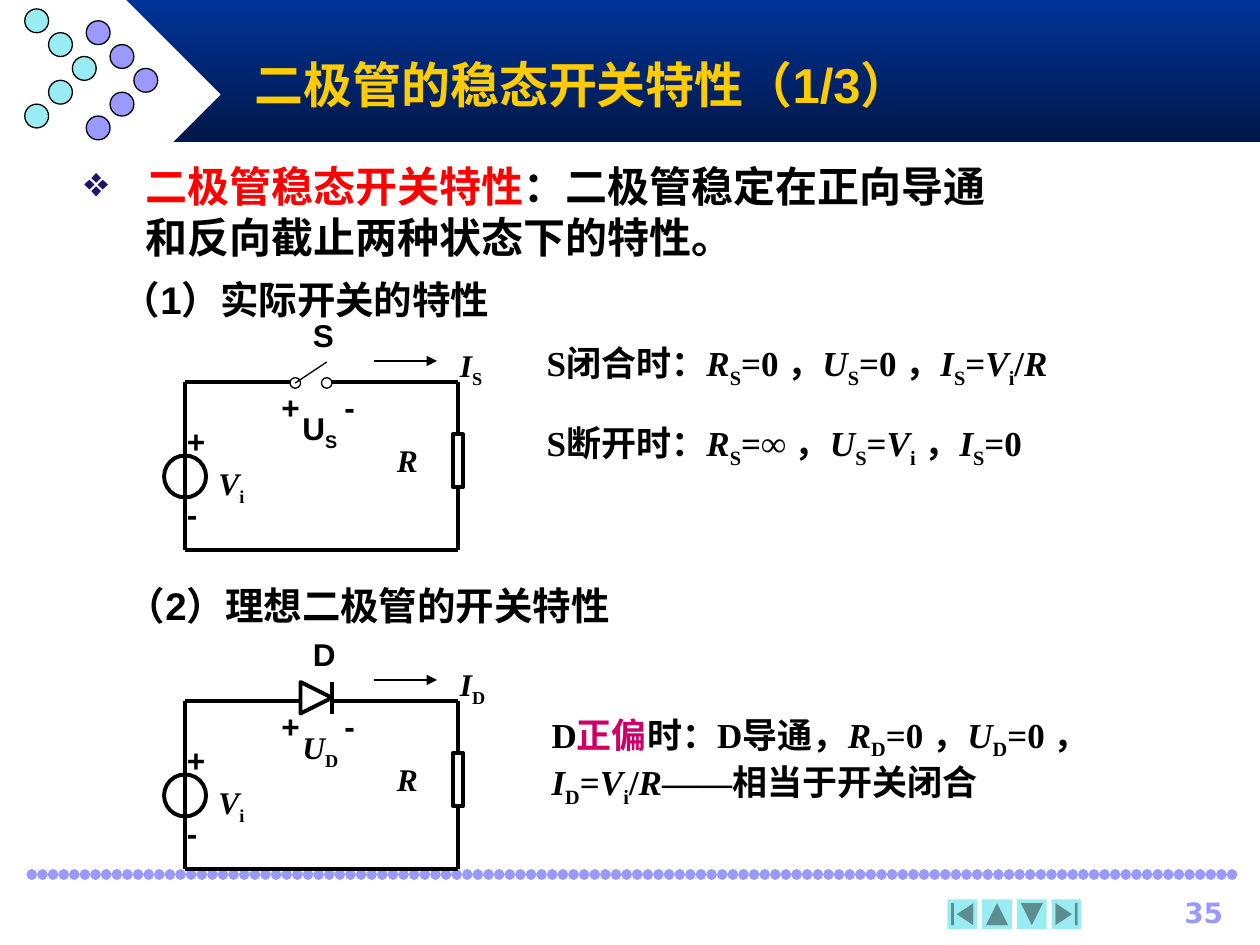
"""Build a slide on the steady-state switching behaviour of a diode."""
import pptx
import pptx.dml.color
import pptx.enum.dml
import pptx.enum.shapes
import pptx.enum.text
import pptx.oxml
import pptx.util
from pptx.oxml.ns import nsdecls

Cm = pptx.util.Cm
Pt = pptx.util.Pt
RGB = pptx.dml.color.RGBColor
SHAPE = pptx.enum.shapes.MSO_SHAPE
STRAIGHT = pptx.enum.shapes.MSO_CONNECTOR.STRAIGHT
ALIGN = pptx.enum.text.PP_ALIGN
ANCHOR = pptx.enum.text.MSO_ANCHOR
AUTO = pptx.enum.text.MSO_AUTO_SIZE

BLACK, WHITE = RGB(0, 0, 0), RGB(255, 255, 255)
NAVY, MIDNIGHT = RGB(0x00, 0x33, 0x99), RGB(0x00, 0x18, 0x47)
VIOLET, CYAN = RGB(0x99, 0x99, 0xFF), RGB(0x98, 0xEC, 0xF2)
GOLD, RED, MAGENTA = RGB(0xFF, 0xCC, 0x00), RGB(0xFF, 0, 0), RGB(0xCC, 0x00, 0x66)

SERIF = {"name": "Times New Roman"}
SANS = {"name": "Arial"}
ITALIC = {"italic": True}
SUB = {"baseline": -25000}


def symbol(letter, index):
    """Return the spans of an italic letter with an upright subscript."""
    return [(letter, ITALIC), (index, SUB)]


VI_OVER_R = [("=", {}), *symbol("V", "i"), ("/", {}), ("R", ITALIC)]
TITLE = [("二极管的稳态开关特性（1/3）", {"color": GOLD})]
DEFINITION = [
    ("二极管", {"color": RED, **SERIF}),
    ("稳态开关特性", {"color": RED}),
    ("：二极管稳定在正向导通和反向截止两种状态下的特性。", {}),
]
HEADINGS = [
    ((2.21, 5.44, 22.02, 1.19), "（1）实际开关的特性"),
    ((2.31, 11.61, 22.02, 1.19), "（2）理想二极管的开关特性"),
]
STATEMENTS = [
    ((10.77, 6.76, 14.05, 1.22), [
        ("S闭合时：", {}), *symbol("R", "S"), ("=0 ，", {}),
        *symbol("U", "S"), ("=0 ，", {}), *symbol("I", "S"), *VI_OVER_R]),
    ((10.77, 8.38, 14.63, 1.22), [
        ("S断开时：", {}), *symbol("R", "S"), ("=∞ ，", {}),
        *symbol("U", "S"), ("=", {}), *symbol("V", "i"), (" ，", {}),
        *symbol("I", "S"), ("=0", {})]),
    ((10.87, 14.25, 11.96, 2.18), [
        ("D", {}), ("正偏", {"color": MAGENTA}), ("时：D导通，", {}),
        *symbol("R", "D"), ("=0 ，", {}), *symbol("U", "D"), ("=0 ，", {}),
        *symbol("I", "D"), *VI_OVER_R, ("——相当于开关闭合", {})]),
]

UNIT = 2.54 / 12
CIRCUIT_LEFT = 3.73
CIRCUITS = [
    {"top": 7.7, "part": "S", "gap_start": 10, "voltage": [("U", SANS), ("S", {**SANS, **SUB})]},
    {"top": 14.13, "part": "D", "gap_start": 11, "voltage": symbol("U", "D")},
]
SIGNS = [("+", 8, 0), ("-", 14, 0), ("+", -1, 3.2), ("-", -1, 10.2)]
CHEVRONS = [(VIOLET, 1.74, 0.42), (CYAN, 0.5, 0.18)]
BUTTONS = [
    (SHAPE.ACTION_BUTTON_BEGINNING, 0),
    (SHAPE.ACTION_BUTTON_BACK_OR_PREVIOUS, 90),
    (SHAPE.ACTION_BUTTON_FORWARD_OR_NEXT, 90),
    (SHAPE.ACTION_BUTTON_END, 0),
]


def add_text(shapes, area, spans, base, align=ALIGN.LEFT, anchor=ANCHOR.TOP, bullet=None):
    box = shapes.add_textbox(*map(Cm, area))
    frame = box.text_frame
    for key, value in {"word_wrap": True, "auto_size": AUTO.NONE, "vertical_anchor": anchor}.items():
        setattr(frame, key, value)
    para = frame.paragraphs[0]
    para.alignment = align
    if bullet:
        properties = para._p.get_or_add_pPr()
        properties.set("marL", str(Cm(1.24)))
        properties.set("indent", str(-Cm(1.24)))
        for item in ('<a:buClr {}><a:srgbClr val="1E116F"/></a:buClr>',
                     '<a:buChar {} char="' + bullet + '"/>'):
            properties.append(pptx.oxml.parse_xml(item.format(nsdecls("a"))))
    for text, changes in spans:
        span = para.add_run()
        span.text = text
        for key, value in {"bold": True, "color": BLACK, **base, **changes}.items():
            if key == "color":
                span.font.color.rgb = value
            elif key == "baseline":
                span._r.get_or_add_rPr().set(key, str(value))
            else:
                setattr(span.font, key, value)


def add_shape(shapes, kind, area, fill=None, line=None, rotation=0):
    shape = shapes.add_shape(kind, *map(Cm, area))
    shape.shadow.inherit = False
    shape.rotation = rotation
    if fill is None:
        shape.fill.background()
    else:
        shape.fill.solid()
        shape.fill.fore_color.rgb = fill
    if line is None:
        shape.line.fill.background()
    else:
        shape.line.color.rgb = BLACK
        shape.line.width = Pt(line)
    return shape


def add_line(shapes, ends, width, color=BLACK, extra=None):
    line = shapes.add_connector(STRAIGHT, *map(Cm, ends))
    line.line.color.rgb = color
    line.line.width = Pt(width)
    if extra:
        line.line._get_or_add_ln().append(pptx.oxml.parse_xml(extra.format(nsdecls("a"))))
    line._element.spPr.append(pptx.oxml.parse_xml(f"<a:effectLst {nsdecls('a')}/>"))
    return line


def draw_circuit(slide, circuit):
    shapes = slide.shapes.add_group_shape().shapes

    def at(x, y):
        return CIRCUIT_LEFT + x * UNIT, circuit["top"] + y * UNIT

    def area(x, y, width, height):
        return *at(x, y), width * UNIT, height * UNIT

    def wire(x1, y1, x2, y2, width=2.25, extra=None):
        return add_line(shapes, (*at(x1, y1), *at(x2, y2)), width, extra=extra)

    def label(x, y, spans, font=SERIF):
        size = (7, 5.3) if len(spans) > 1 else (5, 4.8)
        add_text(shapes, area(x, y, *size), spans, {"size": Pt(18), **font})

    for ends in [(0, 0, 0, 16), (0, 0, circuit["gap_start"], 0), (14, 0, 26, 0), (26, 16, 0, 16)]:
        wire(*ends)
    resistor = add_shape(shapes, SHAPE.RECTANGLE, area(25.5, 5, 1, 5), WHITE, 2.25)
    wire(26, 0, 26, 5).end_connect(resistor, 0)
    wire(26, 10, 26, 16).begin_connect(resistor, 2)
    add_shape(shapes, SHAPE.OVAL, area(-2, 7, 4, 4), line=2.25)
    if circuit["part"] == "S":
        for x in (10, 13):
            add_shape(shapes, SHAPE.OVAL, area(x, -0.4, 1, 1), line=0.75)
        wire(10.5, 0.1, 13.5, -1.9, 0.75)
    else:
        add_shape(shapes, SHAPE.ISOSCELES_TRIANGLE, area(11, -1.8, 3, 3), WHITE, 2.25, 90)
        wire(14, -1.8, 14, 1.2)
    wire(18, -2, 24, -2, 0.75, '<a:tailEnd {} type="triangle"/>')
    label(19, 5, [("R", ITALIC)])
    label(11, -6.9, [(circuit["part"], {})], SANS)
    label(10, 2, circuit["voltage"])
    label(25, -4, symbol("I", circuit["part"]))
    label(2, 7.2, symbol("V", "i"))
    for sign, x, y in SIGNS:
        label(x, y, [(sign, {})], SANS)


def draw_frame(shapes):
    band = add_shape(shapes, SHAPE.RECTANGLE, (2.54, 0, 22.86, 2.86))
    band.fill.gradient()
    band.fill.gradient_angle = 270
    for stop, color in zip(band.fill.gradient_stops, (NAVY, MIDNIGHT)):
        stop.color.rgb = color
    add_shape(shapes, SHAPE.DIAMOND, (0.64, 0, 3.81, 3.81), WHITE)
    for color, left, top in CHEVRONS:
        for row in range(5):
            spot = (left + min(row, 4 - row) * 0.48, top + row * 0.48, 0.48, 0.48)
            add_shape(shapes, SHAPE.OVAL, spot, color, 0.75)
    dots = add_line(shapes, (0.64, 17.63, 24.97, 17.63), 6, VIOLET,
                    '<a:custDash {}><a:ds d="100000" sp="1000"/></a:custDash>')
    dots.line._get_or_add_ln().set("cap", "rnd")
    for index, (kind, rotation) in enumerate(BUTTONS):
        add_shape(shapes, kind, (19.1 + index * 0.7, 18.13, 0.6, 0.6), CYAN, rotation=rotation)


def main():
    deck = pptx.Presentation()
    deck.slide_width, deck.slide_height = Cm(25.4), Cm(19.05)
    slide = deck.slides.add_slide(deck.slide_layouts[6])
    shapes = slide.shapes
    draw_frame(shapes)
    add_text(shapes, (22.5, 17.93, 2.41, 0.84), [("35", {})],
             {"name": "DejaVu Sans", "size": Pt(16), "color": VIOLET}, ALIGN.RIGHT)
    add_text(shapes, (4.88, 0.84, 19.05, 1.7), TITLE, {"size": Pt(28), **SANS}, anchor=ANCHOR.MIDDLE)
    for circuit in CIRCUITS:
        draw_circuit(slide, circuit)
    for place, heading in HEADINGS:
        add_text(shapes, place, [(heading, {})], {"size": Pt(22), **SANS})
    for place, spans in STATEMENTS:
        add_text(shapes, place, spans, {"size": Pt(20), **SERIF})
    add_text(shapes, (1.45, 3.12, 19.28, 2.29), DEFINITION, {"size": Pt(24), **SANS}, bullet="❖")
    deck.save("out.pptx")


if __name__ == "__main__":
    main()
